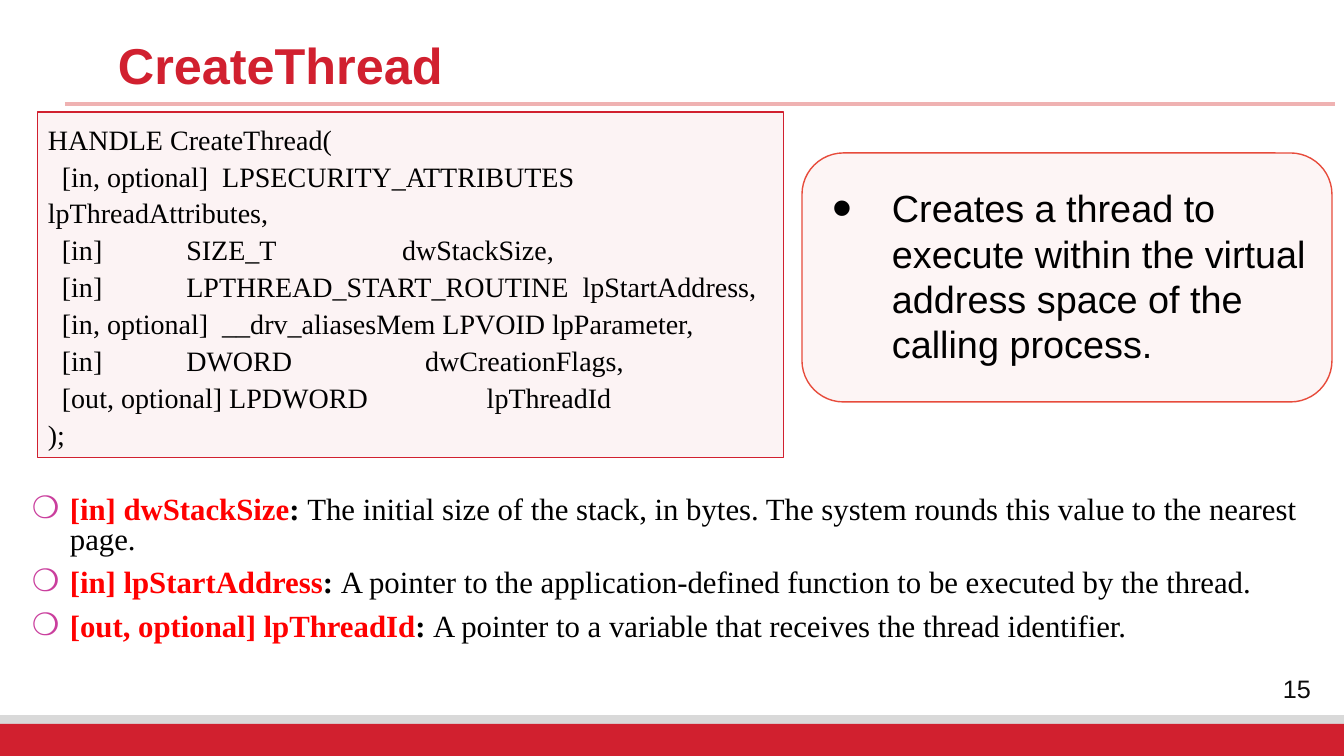
import pptx
import pptx.util
import pptx.dml.color
import pptx.enum.shapes
import pptx.enum.text
import pptx.oxml.ns
from lxml import etree

SCALE = 914400 / 100.8
KIND = pptx.enum.shapes.MSO_SHAPE
ANCHOR = pptx.enum.text.MSO_ANCHOR
ALIGN = pptx.enum.text.PP_ALIGN
SANS, SERIF = "Arial", "Times New Roman"
RED, BLACK = "D1202F", "000000"

CODE = [
    "HANDLE CreateThread(",
    "  [in, optional]  LPSECURITY_ATTRIBUTES   lpThreadAttributes,",
    "  [in]            SIZE_T                  dwStackSize,",
    "  [in]            LPTHREAD_START_ROUTINE  lpStartAddress,",
    "  [in, optional]  __drv_aliasesMem LPVOID lpParameter,",
    "  [in]            DWORD                   dwCreationFlags,",
    "  [out, optional] LPDWORD                 lpThreadId",
    ");",
]
TERMS = [
    ("[in] dwStackSize", "The initial size of the stack, in bytes. "
     "The system rounds this value to the nearest page."),
    ("[in] lpStartAddress", "A pointer to the application-defined function "
     "to be executed by the thread."),
    ("[out, optional] lpThreadId", "A pointer to a variable that receives "
     "the thread identifier."),
]
CLAIM = ("Creates a thread to execute within the virtual address space "
         "of the calling process.")


def px(n):
    return pptx.util.Emu(round(n * SCALE))


def color(code):
    return pptx.dml.color.RGBColor.from_string(code)


def add(node, tag, **attrs):
    return etree.SubElement(node, pptx.oxml.ns.qn(tag), attrs)


def block(slide, kind, box, fill, line=None, width=1, alpha=None):
    shape = slide.shapes.add_shape(kind, *map(px, box))
    shape.shadow.inherit = False
    shape.fill.solid()
    shape.fill.fore_color.rgb = color(fill)
    if alpha:
        tint = shape.fill._xPr.find(".//" + pptx.oxml.ns.qn("a:srgbClr"))
        add(tint, "a:alpha", val=str(alpha * 1000))
    if line:
        shape.line.color.rgb = color(line)
        shape.line.width = pptx.util.Pt(width)
    else:
        shape.line.fill.background()
    return shape


def text(slide, box, anchor=ANCHOR.TOP):
    frame = slide.shapes.add_textbox(*map(px, box)).text_frame
    frame.word_wrap = True
    frame.vertical_anchor = anchor
    return frame


def lines(frame, count):
    """Give the frame's paragraphs, adding those that are missing."""
    while len(frame.paragraphs) < count:
        frame.add_paragraph()
    return frame.paragraphs


def write(para, words, size, face, ink=BLACK, bold=False):
    run = para.add_run()
    run.text = words
    run.font.size = pptx.util.Pt(size)
    run.font.name = face
    run.font.bold = bold
    run.font.color.rgb = color(ink)


def bullet(para, mark, left, hang, ink=BLACK, size=100):
    props = para._p.get_or_add_pPr()
    props.set("marL", str(px(left)))
    props.set("indent", str(-px(hang)))
    add(add(props, "a:buClr"), "a:srgbClr", val=ink)
    add(props, "a:buSzPct", val=str(size * 1000))
    add(props, "a:buFont", typeface=SANS)
    add(props, "a:buChar", char=mark)


def footer(slide, box):
    x, y, w, h = box
    # Grey edge over a red band
    block(slide, KIND.RECTANGLE, box, "D9D9D9")
    block(slide, KIND.RECTANGLE, (x, y + 9, w, h - 9), RED)
    # Page number
    frame = text(slide, (x + w - 93, y - 46, 92, 39), ANCHOR.MIDDLE)
    para = frame.paragraphs[0]
    para.alignment = ALIGN.CENTER
    write(para, "15", 18, SANS, "0D0D0D")


def header(slide, box):
    x, y, w, h = box
    # Rule below the title
    rule = slide.shapes.add_connector(
        pptx.enum.shapes.MSO_CONNECTOR.STRAIGHT,
        px(x), px(y + h), px(x + w), px(y + h))
    rule.line.color.rgb = color("EFB2B2")
    rule.line.width = pptx.util.Pt(2.25)
    add(rule._element.spPr, "a:effectLst")
    # Title
    para = text(slide, (x + 43, y, 1146, 48)).paragraphs[0]
    para.line_spacing = 0.9
    write(para, "CreateThread", 36, SANS, RED, True)


def code(slide, box):
    panel = block(slide, KIND.RECTANGLE, box, RED, RED, 0.75, alpha=5)
    frame = panel.text_frame
    frame.word_wrap = True
    frame.vertical_anchor = ANCHOR.MIDDLE
    for para, row in zip(lines(frame, len(CODE)), CODE):
        para.alignment = ALIGN.LEFT
        para.line_spacing = 1.1
        write(para, row, 20, SERIF)


def claim(slide, box):
    x, y, w, h = box
    block(slide, KIND.ROUNDED_RECTANGLE, box, "E74C3C", "E74C3C", alpha=5)
    para = text(slide, (x, y + 27, w, h - 55)).paragraphs[0]
    bullet(para, "•", 80, 59, size=150)
    write(para, CLAIM, 27, SANS)


def terms(slide, box):
    frame = text(slide, box)
    for para, (name, sense) in zip(lines(frame, len(TERMS)), TERMS):
        bullet(para, "❍", 38, 38, "CA3E9D")
        para.line_spacing = 0.8
        para.space_after = pptx.util.Pt(10)
        write(para, name, 22, SERIF, "FF0000", True)
        write(para, ": ", 22, SERIF, bold=True)
        write(para, sense, 22, SERIF)


def main():
    deck = pptx.Presentation()
    deck.slide_width, deck.slide_height = px(1344), px(756)
    slide = deck.slides.add_slide(deck.slide_layouts[6])
    footer(slide, (0, 715, 1344, 41))
    header(slide, (65, 36, 1270, 68))
    terms(slide, (22, 492, 1285, 187))
    code(slide, (38, 112, 746, 346))
    claim(slide, (802, 153, 530, 249))
    deck.save("out.pptx")


if __name__ == "__main__":
    main()
